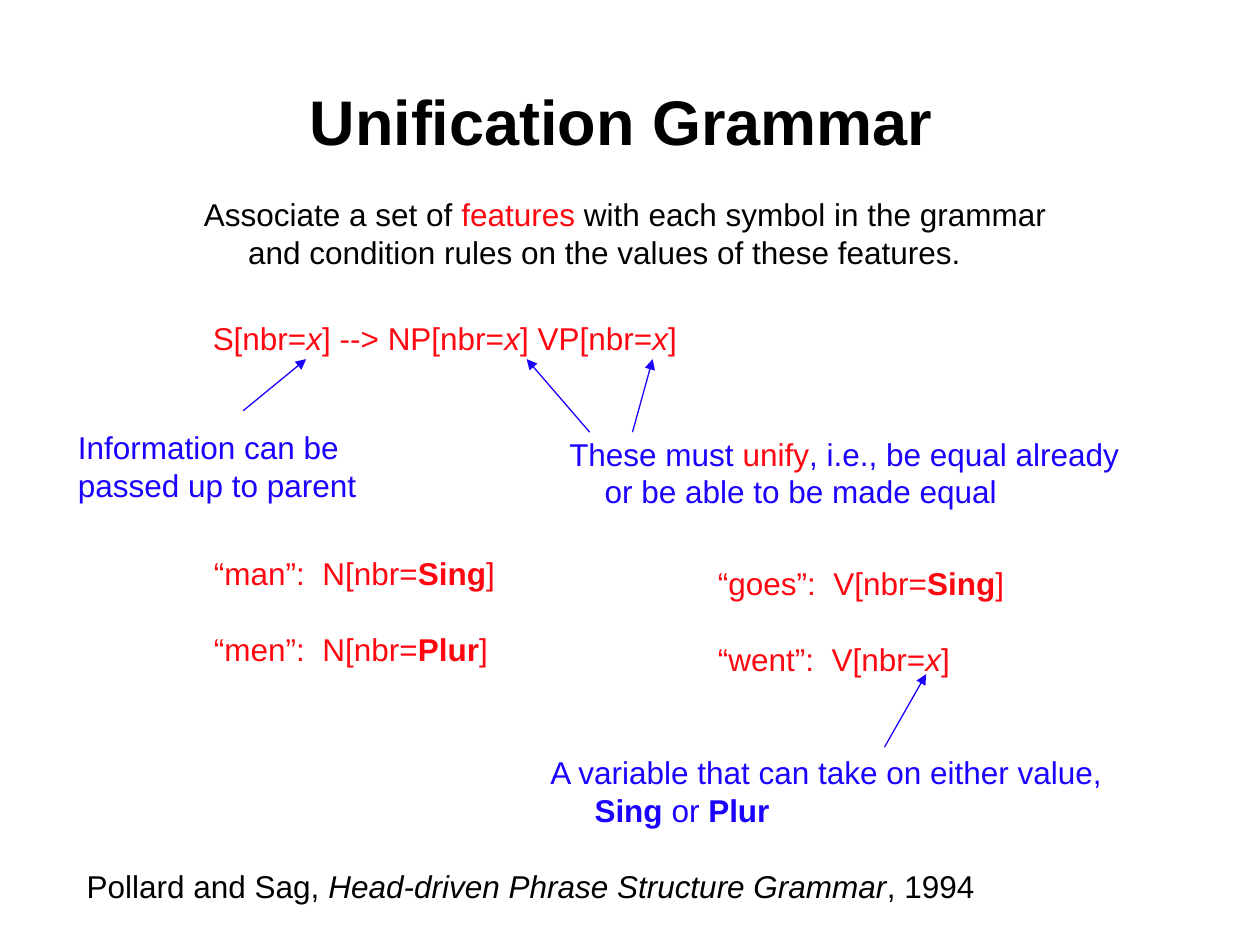
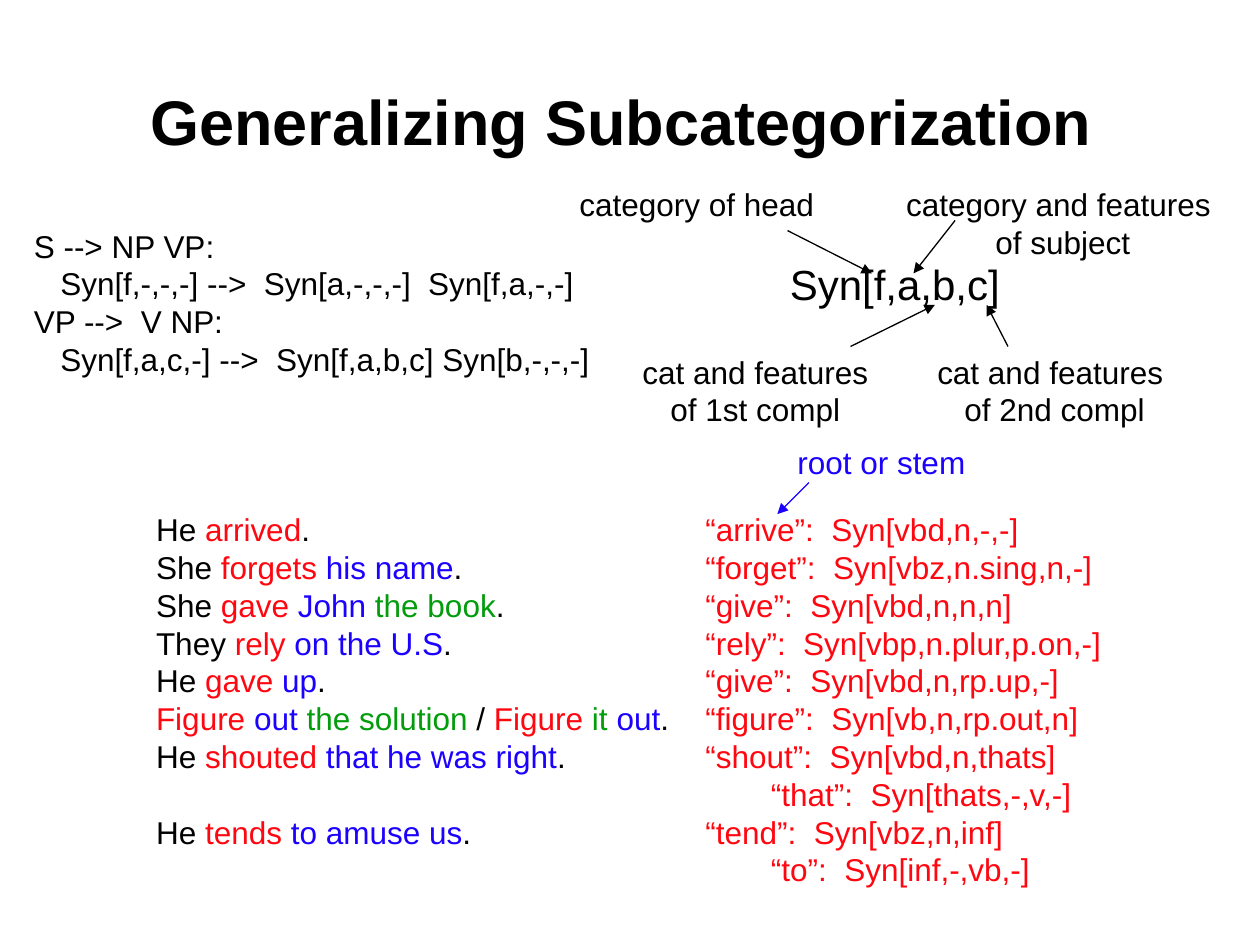
from lxml import etree
from pptx import Presentation
from pptx.dml.color import RGBColor
from pptx.enum.shapes import MSO_CONNECTOR
from pptx.enum.text import MSO_ANCHOR, PP_ALIGN
from pptx.oxml.ns import qn
from pptx.util import Inches, Pt

LEFT, CENTER = PP_ALIGN.LEFT, PP_ALIGN.CENTER
MIDDLE = MSO_ANCHOR.MIDDLE
STRAIGHT = MSO_CONNECTOR.STRAIGHT
BLACK, RED, BLUE, GREEN = "000000", "FF0710", "1B02FF", "039C0D"
BOLD, ITALIC = "bold", "italic"
FONT = "Arial"
TITLE_SIZE, BODY_SIZE, SCHEMA_SIZE = 36, 18, 24
LEADING = 1.2
TITLE_ONLY = 5


def rgb(value):
    """Turn a hex string into a colour."""
    return RGBColor.from_string(value)


def format_run(r, size, color, style=None):
    """Apply font, size, colour and an optional style to a run."""
    r.font.name = FONT
    r.font.size = Pt(size)
    r.font.bold = style == BOLD
    r.font.italic = style == ITALIC
    r.font.color.rgb = rgb(color if style in (None, BOLD, ITALIC) else style)


def add_slide(prs, title):
    """Add a slide with the shared title style."""
    s = prs.slides.add_slide(prs.slide_layouts[TITLE_ONLY])
    sp = s.shapes.title
    sp.left, sp.top = Inches(0.75), Inches(0.33)
    sp.width, sp.height = Inches(8.5), Inches(1.25)
    tf = sp.text_frame
    tf.text = title
    tf.vertical_anchor = MIDDLE
    p = tf.paragraphs[0]
    p.alignment = CENTER
    p.line_spacing = Pt(TITLE_SIZE * LEADING)
    format_run(p.runs[0], TITLE_SIZE, BLACK, BOLD)
    return s


def add_text(s, x, y, width, lines, color=BLACK, size=BODY_SIZE,
             align=LEFT, indents=(), gap=0, tabs=()):
    """Add lines of text; a line is a string or a list of runs and (run, style) pairs."""
    leading = size * LEADING
    height = 0.1 + (len(lines) * leading + (len(lines) - 1) * gap) / 72
    sp = s.shapes.add_textbox(Inches(x), Inches(y), Inches(width), Inches(height))
    tf = sp.text_frame
    tf.word_wrap = True
    tf.margin_left = Inches(0 if align == CENTER else 0.1)
    tf.margin_right = 0
    for i, line in enumerate(lines):
        p = tf.add_paragraph() if i else tf.paragraphs[0]
        p.alignment = align
        p.line_spacing = Pt(leading)
        p.space_before = Pt(gap if i else 0)
        for part in [line] if isinstance(line, str) else line:
            text, style = (part, None) if isinstance(part, str) else part
            r = p.add_run()
            r.text = text
            format_run(r, size, color, style)
        pPr = p._p.get_or_add_pPr()
        if indents:
            pPr.set("marL", str(Inches(indents[i])))
        if tabs:
            tab_list = etree.SubElement(pPr, qn("a:tabLst"))
            for tab in tabs:
                etree.SubElement(tab_list, qn("a:tab"), pos=str(Inches(tab)), algn="l")


def add_arrow(s, x1, y1, x2, y2, color):
    """Add a thin arrow pointing at its second end."""
    c = s.shapes.add_connector(STRAIGHT, Inches(x1), Inches(y1), Inches(x2), Inches(y2))
    c.line.color.rgb = rgb(color)
    c.line.width = Pt(0.75)
    ln = c.line._get_or_add_ln()
    etree.SubElement(ln, qn("a:tailEnd"), type="triangle")
    etree.SubElement(c._element.spPr, qn("a:effectLst"))


def add_rule(s, x, y):
    """Place the unification rule with its two remarks."""
    x_var = ("x", ITALIC)
    add_text(s, x + 1.07, y, 3.88,
             [["S[nbr=", x_var, "] --> NP[nbr=", x_var, "] VP[nbr=", x_var, "]"]], RED)
    add_text(s, x, y + 0.87, 2.41, ["Information can be", "passed up to parent"], BLUE)
    add_text(s, x + 3.9, y + 0.92, 4.56,
             [["These must ", ("unify", RED), ", i.e., be equal already"],
              "or be able to be made equal"], BLUE, indents=(0, 0.28))
    for x1, y1, x2 in ((1.41, 0.78, 1.91), (4.16, 0.95, 3.66), (4.5, 0.95, 4.66)):
        add_arrow(s, x + x1, y + y1, x + x2, y + 0.37, BLUE)


def add_lexicon(s, x, y):
    """Place the noun and verb entries and the remark on the variable."""
    columns = (
        (0, 0, (("“man”:  N[nbr=", "Sing", BOLD), ("“men”:  N[nbr=", "Plur", BOLD))),
        (4, 0.08, (("“goes”:  V[nbr=", "Sing", BOLD), ("“went”:  V[nbr=", "x", ITALIC))),
    )
    for dx, dy, entries in columns:
        lines = [[head, (value, style), "]"] for head, value, style in entries]
        add_text(s, x + dx, y + dy, 2.5, lines, RED, gap=BODY_SIZE * LEADING)
    add_arrow(s, x + 5.42, y + 1.58, x + 5.75, y + 1, BLUE)
    add_text(s, x + 2.67, y + 1.58, 4.59,
             ["A variable that can take on either value,",
              [("Sing", BOLD), " or ", ("Plur", BOLD)]], BLUE, indents=(0, 0.35))


def add_schema(s, x, y):
    """Place the Syn schema with a label and arrow for each argument."""
    add_text(s, x + 1.67, y + 0.58, 1.87, ["Syn[f,a,b,c]"], size=SCHEMA_SIZE)
    labels = (
        (0, 0, 2.06, ["category of head"]),
        (2.59, 0, 2.69, ["category and features ", "of subject"]),
        (0.5, 1.33, 1.99, ["cat and features", "of 1st compl"]),
        (2.84, 1.33, 2.06, ["cat and features ", "of 2nd compl"]),
    )
    for dx, dy, width, lines in labels:
        add_text(s, x + dx, y + dy, width, lines, align=CENTER)
    arrows = ((1.75, 0.41, 2.42, 0.75), (3.08, 0.33, 2.75, 0.75),
              (2.25, 1.33, 2.92, 1), (3.5, 1.33, 3.33, 1))
    for x1, y1, x2, y2 in arrows:
        add_arrow(s, x + x1, y + y1, x + x2, y + y2, BLACK)


def add_examples(s, x, y):
    """Place the sentences beside the lexical entries of their verbs."""
    rows = (
        (["He ", ("arrived", RED), "."], "“arrive”:  Syn[vbd,n,-,-]"),
        (["She ", ("forgets ", RED), ("his name", BLUE), "."],
         "“forget”:  Syn[vbz,n.sing,n,-]"),
        (["She", (" gave ", RED), ("John ", BLUE), ("the book", GREEN), "."],
         "“give”:  Syn[vbd,n,n,n]"),
        (["They ", ("rely ", RED), ("on the U.S", BLUE), "."],
         "“rely”:  Syn[vbp,n.plur,p.on,-]"),
        (["He ", ("gave ", RED), ("up", BLUE), "."], "“give”:  Syn[vbd,n,rp.up,-]"),
        ([("Figure ", RED), ("out ", BLUE), ("the solution", GREEN), " / ",
          ("Figure", RED), (" it ", GREEN), ("out", BLUE), "."],
         "“figure”:  Syn[vb,n,rp.out,n]"),
        (["He ", ("shouted", RED), (" that he was right", BLUE), "."],
         "“shout”:  Syn[vbd,n,thats]"),
        (["\t"], "“that”:  Syn[thats,-,v,-]"),
        (["He ", ("tends", RED), (" to amuse us", BLUE), "."], "“tend”:  Syn[vbz,n,inf]"),
        (["\t"], "“to”:  Syn[inf,-,vb,-]"),
    )
    lines = [sentence + [("\t" + entry, RED)] for sentence, entry in rows]
    add_text(s, x, y, 7.72, lines, tabs=(4.36, 4.88))
    add_text(s, x + 5.09, y - 0.53, 1.53, ["root or stem"], BLUE)
    add_arrow(s, x + 5.28, y - 0.17, x + 5.03, y + 0.08, BLUE)


def unification_slide(prs):
    """Build the slide on unification grammar."""
    s = add_slide(prs, "Unification Grammar ")
    add_text(s, 1.52, 1.5, 6.95,
             [["Associate a set of ", ("features", RED), " with each symbol in the grammar"],
              "and condition rules on the values of these features."], indents=(0, 0.35))
    add_rule(s, 0.52, 2.48)
    add_lexicon(s, 1.6, 4.35)
    add_text(s, 0.59, 6.83, 7.24,
             [["Pollard and Sag, ", ("Head-driven Phrase Structure Grammar", ITALIC), ", 1994"]])


def subcategorization_slide(prs):
    """Build the slide on generalized subcategorization."""
    s = add_slide(prs, "Generalizing Subcategorization ")
    add_examples(s, 1.14, 4)
    add_text(s, 0.17, 1.75, 4.61,
             ["S --> NP VP:", "Syn[f,-,-,-] -->  Syn[a,-,-,-]  Syn[f,a,-,-]",
              "VP -->  V NP:", "Syn[f,a,c,-] -->  Syn[f,a,b,c] Syn[b,-,-,-]"],
             indents=(0, 0.21, 0, 0.21))
    add_schema(s, 4.5, 1.42)


def main():
    """Build and save the presentation."""
    prs = Presentation()
    prs.slide_width, prs.slide_height = Inches(10), Inches(7.5)
    unification_slide(prs)
    subcategorization_slide(prs)
    prs.save("out.pptx")


if __name__ == "__main__":
    main()
